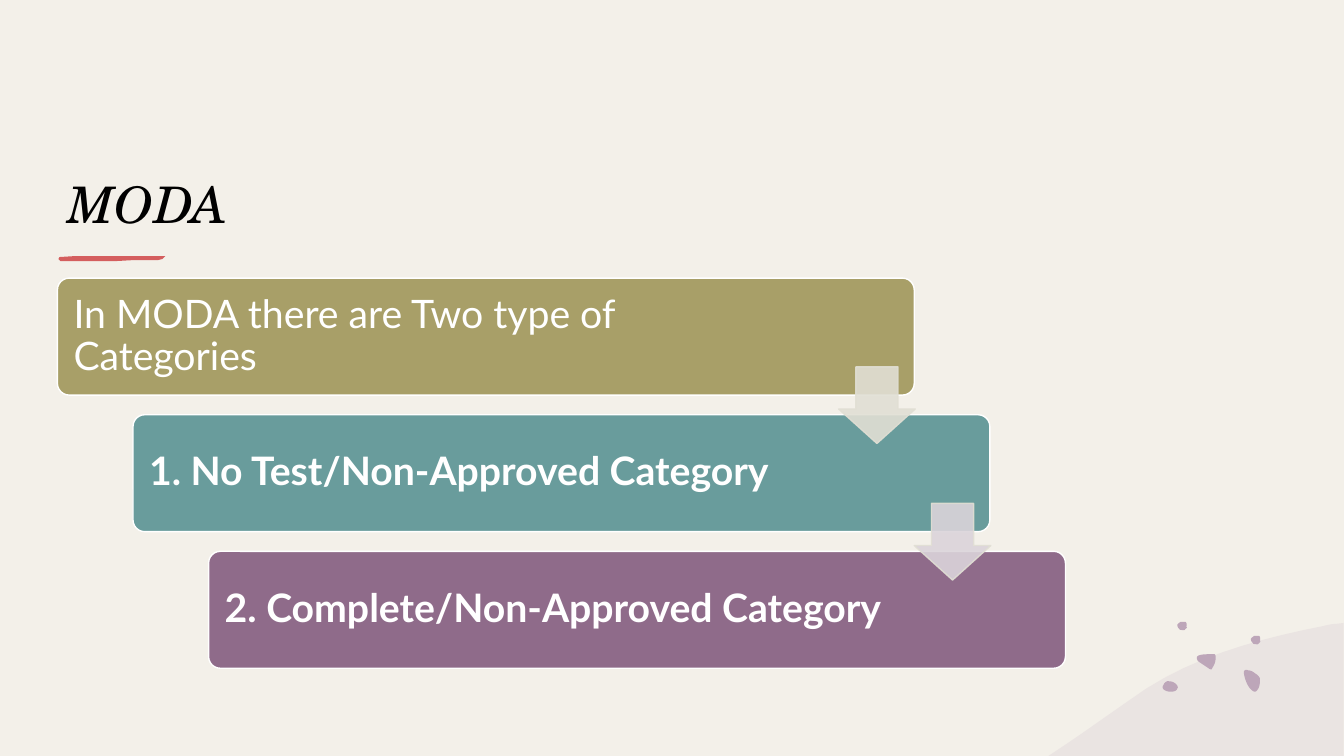
from lxml.etree import SubElement
from pptx import Presentation
from pptx.dml.color import RGBColor
from pptx.enum.shapes import MSO_SHAPE
from pptx.enum.text import MSO_ANCHOR
from pptx.oxml.ns import qn
from pptx.util import Cm, Pt

COLORS = {
    "paper": "F3F0E9", "ink": "000000", "white": "FFFFFF", "red": "D45E5E",
    "hill": "D2C4D0", "chip": "BDA6B9", "edge": "E1DFD4",
    "olive": "A89F68", "teal": "699C9C", "plum": "8F6B8A",
    "sand": "E1DFD4", "mist": "DBD4DA",
}
TITLE = "MODA"
STEPS = [
    ("In MODA there are Two type of Categories", "olive", False, 7.24),
    ("1. No Test/Non-Approved Category", "teal", True, 6.93),
    ("2. Complete/Non-Approved Category", "plum", True, 6.93),
]
ARROWS = ["sand", "mist"]
LEFT, TOP, WIDE, HIGH = 0.57, 2.76, 8.5, 1.16
SHIFT, DROP = 0.75, 1.355

DASH = [(0.58, 2.57), (0.59, 2.55), (0.75, 2.54), (1.11, 2.54), (1.64, 2.54),
        (1.61, 2.57), (1.57, 2.58), (1.33, 2.58), (1.15, 2.59), (0.6, 2.59)]
HILL = [(13.33, 6.18), (13.25, 6.19), (13.21, 6.19, 13.17, 6.2, 13.13, 6.21),
        (12.47, 6.34, 11.76, 6.53, 11.2, 6.95),
        (11.01, 7.08, 10.83, 7.21, 10.64, 7.34), (10.4, 7.5), (13.33, 7.5)]
DROPLET = [(12.38, 6.65), (12.36, 6.64, 12.34, 6.65, 12.34, 6.67), (12.34, 6.68),
           (12.35, 6.74, 12.37, 6.79, 12.4, 6.83),
           (12.42, 6.85, 12.45, 6.88, 12.47, 6.85),
           (12.5, 6.82, 12.5, 6.77, 12.5, 6.73),
           (12.49, 6.71, 12.47, 6.69, 12.45, 6.68),
           (12.44, 6.67, 12.41, 6.65, 12.38, 6.65)]
PEBBLE = [(11.6, 6.76), (11.58, 6.75, 11.55, 6.77, 11.54, 6.8),
          (11.53, 6.81, 11.53, 6.84, 11.56, 6.85),
          (11.59, 6.87, 11.67, 6.87, 11.68, 6.83),
          (11.69, 6.82, 11.68, 6.8, 11.67, 6.79),
          (11.65, 6.77, 11.63, 6.76, 11.6, 6.76)]
CRUMB = [(11.77, 6.22), (11.77, 6.22, 11.78, 6.18, 11.76, 6.17),
         (11.74, 6.17, 11.73, 6.17, 11.71, 6.17),
         (11.7, 6.18, 11.68, 6.19, 11.68, 6.2),
         (11.68, 6.22, 11.69, 6.23, 11.7, 6.24),
         (11.7, 6.24, 11.7, 6.25, 11.72, 6.25),
         (11.73, 6.25, 11.75, 6.26, 11.76, 6.24),
         (11.77, 6.23, 11.78, 6.23, 11.77, 6.22)]
WEDGE = [(12.01, 6.49), (11.95, 6.49, 11.84, 6.49, 11.88, 6.55),
         (11.88, 6.56, 11.89, 6.56, 11.9, 6.57),
         (11.93, 6.59, 11.96, 6.61, 11.99, 6.63),
         (12, 6.64, 12.01, 6.64, 12.02, 6.64), (12.03, 6.62),
         (12.05, 6.59, 12.06, 6.56, 12.06, 6.52),
         (12.06, 6.51, 12.06, 6.5, 12.05, 6.49), (12.01, 6.49)]
SHAPES = [
    (DASH, "red", 100, 0, 0), (HILL, "hill", 25, 0, 0),
    (DROPLET, "chip", 100, 0, 0), (PEBBLE, "chip", 100, 0, 0),
    (CRUMB, "chip", 100, 0, 0), (CRUMB, "chip", 100, 0.73, 0.14),
    (WEDGE, "chip", 100, 0, 0),
]


def inch(size):
    return Cm(size * 2.54)


def color(name):
    return RGBColor.from_string(COLORS[name])


def paint(shape, fill, edge=None, alpha=100):
    shape.shadow.inherit = False
    shape.fill.solid()
    shape.fill.fore_color.rgb = color(fill)
    if edge:
        shape.line.color.rgb = color(edge)
        shape.line.width = Pt(1)
    else:
        shape.line.fill.background()
    if alpha < 100:
        for tint in shape._element.spPr.iter(qn("a:srgbClr")):
            SubElement(tint, qn("a:alpha")).set("val", str(alpha * 1000))


def trace(curve, right, down, parts=10):
    spots = [curve[0]]
    for piece in curve[1:]:
        if len(piece) == 2:
            spots.append(piece)
            continue
        ends = [spots[-1], piece[:2], piece[2:4], piece[4:]]
        for step in range(1, parts + 1):
            t = step / parts
            mix = [(1 - t) ** 3, 3 * t * (1 - t) ** 2, 3 * t * t * (1 - t), t ** 3]
            spots.append(tuple(sum(m * e[axis] for m, e in zip(mix, ends))
                               for axis in (0, 1)))
    return [(inch(x + right), inch(y + down)) for x, y in spots]


def outline(slide, curve, fill, alpha, right, down):
    spots = trace(curve, right, down)
    form = slide.shapes.build_freeform(*spots[0])
    form.add_line_segments(spots[1:], close=True)
    paint(form.convert_to_shape(), fill, alpha=alpha)


def preset(slide, kind, box, tweaks, fill, edge, alpha=100):
    shape = slide.shapes.add_shape(kind, *map(inch, box))
    for spot, tweak in enumerate(tweaks):
        shape.adjustments[spot] = tweak
    paint(shape, fill, edge, alpha)


def write(slide, text, box, face, size, tint, anchor):
    frame = slide.shapes.add_textbox(*map(inch, box)).text_frame
    frame.word_wrap = True
    frame.vertical_anchor = anchor
    frame.text = text
    font = frame.paragraphs[0].runs[0].font
    font.name, font.size, font.color.rgb = face, Pt(size), color(tint)
    return frame, font


def main():
    """Build the MODA categories slide."""
    deck = Presentation()
    deck.slide_width, deck.slide_height = inch(13.333), inch(7.5)
    slide = deck.slides.add_slide(deck.slide_layouts[6])
    slide.background.fill.solid()
    slide.background.fill.fore_color.rgb = color("paper")

    _, font = write(slide, TITLE, (0.57, 0.8, 11.94, 1.57), "TeX Gyre Schola",
                    36, "ink", MSO_ANCHOR.BOTTOM)
    font.italic = True
    for item in SHAPES:
        outline(slide, *item)

    for row, (text, fill, bold, wide) in enumerate(STEPS):
        x, y = LEFT + row * SHIFT, TOP + row * DROP
        preset(slide, MSO_SHAPE.ROUNDED_RECTANGLE, (x, y, WIDE, HIGH),
               [0.1], fill, "white")
        frame, font = write(slide, text, (x + 0.04, y + 0.03, wide, 1.1), "Lato",
                            28, "white", MSO_ANCHOR.MIDDLE)
        font.bold = bold
        frame.paragraphs[0].line_spacing = 0.9
        frame.margin_left = frame.margin_right = inch(0.12)
        frame.margin_top = frame.margin_bottom = inch(0.12)

    for row, fill in enumerate(ARROWS):
        box = (8.32 + row * SHIFT, 3.64 + row * DROP, 0.76, 0.76)
        preset(slide, MSO_SHAPE.DOWN_ARROW, box, [0.55, 0.45], fill, "edge", 90)

    deck.save("out.pptx")


if __name__ == "__main__":
    main()
